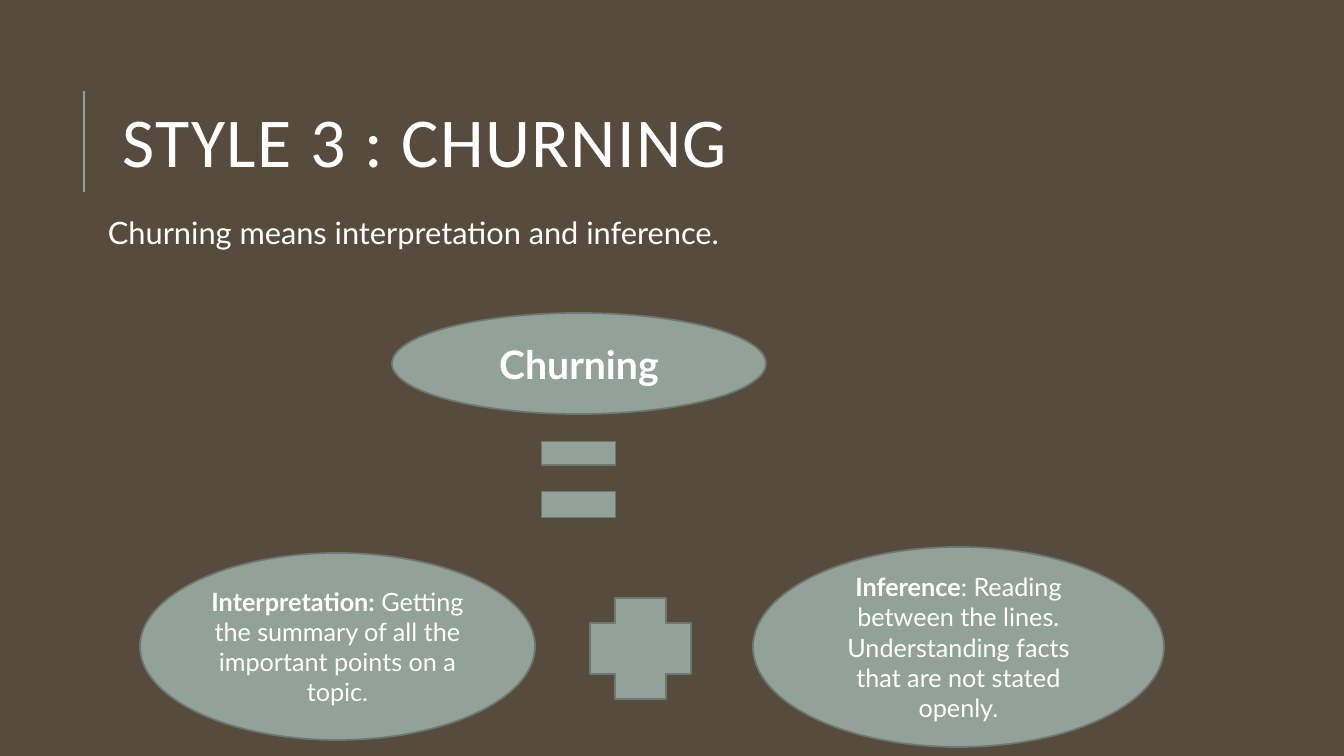
from pptx import Presentation
from pptx.dml.color import RGBColor
from pptx.enum.shapes import MSO_CONNECTOR as Line, MSO_SHAPE as Kind
from pptx.enum.text import MSO_ANCHOR as Anchor, PP_ALIGN as Align
from pptx.oxml.ns import qn
from pptx.util import Pt
from lxml.etree import SubElement

SCALE = 914400 / 100.8


def px(*nums):
    return [round(n * SCALE) for n in nums]


def color(code):
    return RGBColor.from_string(code)


def write(frame, *runs, size, font="Lato", ink="FFFFFF", align=Align.LEFT,
          anchor=Anchor.TOP, lead=1.0, before=0, gap=0):
    frame.word_wrap = True
    frame.vertical_anchor = anchor
    para = frame.paragraphs[0]
    para.alignment = align
    para.line_spacing = lead
    para.space_before = Pt(before)
    for words, bold in runs:
        run = para.add_run()
        run.text = words
        face = run.font
        face.name, face.size, face.bold = font, Pt(size), bold
        face.color.rgb = color(ink)
        if gap:
            run._r.get_or_add_rPr().set("spc", str(gap * 100))


class Deck:
    back, fill, edge = "564B3C", "93A299", "6D7871"

    def __init__(self):
        self.show = Presentation()
        self.show.slide_width, self.show.slide_height = px(1344, 756)
        self.slide = self.show.slides.add_slide(self.show.slide_layouts[6])
        paint = self.slide.background.fill
        paint.solid()
        paint.fore_color.rgb = color(self.back)

    def rule(self, *ends):
        line = self.slide.shapes.add_connector(Line.STRAIGHT, *px(*ends))
        line.line.color.rgb = color(self.fill)
        line.line.width = Pt(1.5)
        SubElement(line._element.spPr, qn("a:effectLst"))

    def text(self, box, words, inset=None, **form):
        frame = self.slide.shapes.add_textbox(*px(*box)).text_frame
        if inset:
            left, rest = px(*inset)
            frame.margin_left = left
            frame.margin_right = frame.margin_top = frame.margin_bottom = rest
        write(frame, (words, False), **form)

    def shape(self, kind, *box):
        item = self.slide.shapes.add_shape(kind, *px(*box))
        item.shadow.inherit = False
        item.fill.solid()
        item.fill.fore_color.rgb = color(self.fill)
        item.line.color.rgb = color(self.edge)
        item.line.width = Pt(1.25)
        return item

    def oval(self, box, *runs, size=18):
        frame = self.shape(Kind.OVAL, *box).text_frame
        write(frame, *runs, size=size, align=Align.CENTER, anchor=Anchor.MIDDLE)


deck = Deck()
deck.rule(84, 192, 84, 91)
deck.text((113, 65, 1072, 165), "STYLE 3 : CHURNING", size=50,
          font="Calibri", anchor=Anchor.MIDDLE, lead=0.8, gap=1)
deck.text((93, 213, 1072, 444), "Churning means interpretation and inference.",
          inset=(15, 5), size=22, lead=0.9, before=12)

deck.oval((392, 313, 374, 101), ("Churning", True), size=28)
deck.shape(Kind.MATH_MINUS, 528, 403, 101, 101)
low = deck.shape(Kind.MATH_MINUS, 528, 454, 101, 101)
low.adjustments[0] = 0.256
deck.oval((140, 553, 395, 187), ("Interpretation:", True),
          (" Getting the summary of all the important points on a topic.", False))
deck.oval((753, 547, 411, 200), ("Inference", True),
          (": Reading between the lines. Understanding facts that are not stated openly.", False))
deck.shape(Kind.CROSS, 590, 598, 101, 101)

deck.show.save("out.pptx")
